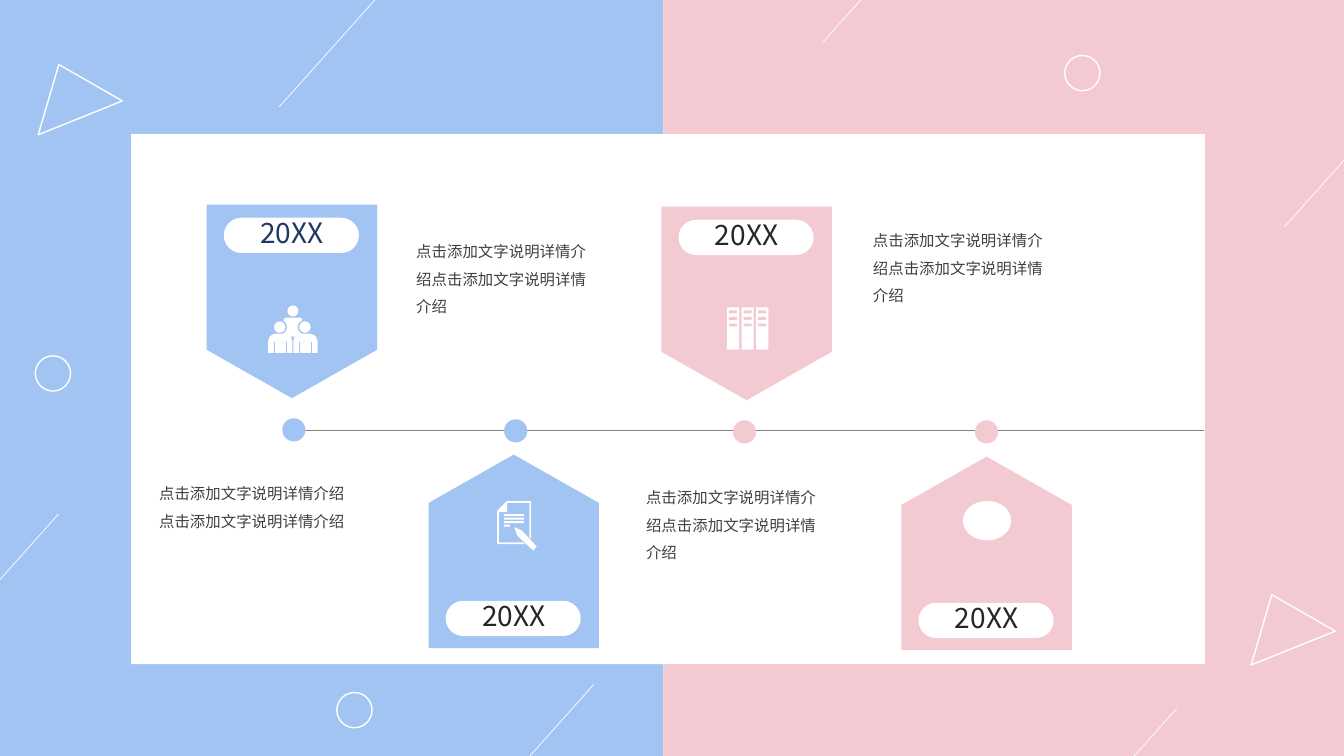
from lxml import etree
from pptx import Presentation
from pptx.dml.color import RGBColor
from pptx.enum.shapes import MSO_CONNECTOR as Wire, MSO_SHAPE as Form
from pptx.enum.text import PP_ALIGN as Align
from pptx.oxml.ns import qn
from pptx.util import Inches, Pt

FONT = "Noto Sans CJK SC"
NOTE = "点击添加文字说明详情介绍" * 2
HUES = {
    "blue": "A1C4F2",
    "pink": "F3CAD1",
    "white": "FFFFFF",
    "grey": "808080",
    "body": "404040",
    "navy": "203864",
    "dark": "262626",
}


def color(name):
    return RGBColor.from_string(HUES[name])


def paint(shape, fill=None, line=None, width=1):
    shape.shadow.inherit = False
    if fill:
        shape.fill.solid()
        shape.fill.fore_color.rgb = color(fill)
    else:
        shape.fill.background()
    if line:
        shape.line.color.rgb = color(line)
        shape.line.width = Pt(width)
    else:
        shape.line.fill.background()
    return shape


def add_form(shapes, form, box, fill=None, line=None, width=1):
    shape = shapes.add_shape(form, *map(Inches, box))
    return paint(shape, fill, line, width)


def add_poly(shapes, points, fill=None, line=None, width=1):
    dots = [(Inches(x), Inches(y)) for x, y in points]
    pen = shapes.build_freeform(*dots[0])
    pen.add_line_segments(dots[1:], close=True)
    return paint(pen.convert_to_shape(), fill, line, width)


def add_line(shapes, start, end, hue, width):
    line = shapes.add_connector(Wire.STRAIGHT, *map(Inches, start + end))
    line.line.color.rgb = color(hue)
    line.line.width = Pt(width)
    etree.SubElement(line._element.spPr, qn("a:effectLst"))


def add_text(shapes, box, text, size, hue, align=Align.LEFT, space=1.0):
    frame = shapes.add_textbox(*map(Inches, box)).text_frame
    frame.word_wrap = True
    frame.text = text
    para = frame.paragraphs[0]
    para.alignment = align
    para.line_spacing = space
    run = para.runs[0]
    run.font.size = Pt(size)
    run.font.name = FONT
    run.font.color.rgb = color(hue)
    props = run._r.get_or_add_rPr()
    etree.SubElement(props, qn("a:ea"), typeface=FONT)


def add_backdrop(shapes):
    add_form(shapes, Form.RECTANGLE, (0, 0, 6.58, 7.5), "blue")
    add_form(shapes, Form.RECTANGLE, (6.58, 0, 6.75, 7.5), "pink")
    add_form(shapes, Form.RECTANGLE, (1.3, 1.33, 10.65, 5.26), "white")
    for x, y in ((0.24, 0.62), (12.27, 5.88)):
        box = (x, y, 0.9, 0.57)
        add_form(shapes, Form.ISOSCELES_TRIANGLE, box, line="white").rotation = 338.1
    for x, y in ((0.35, 3.53), (3.34, 6.87), (10.56, 0.55)):
        add_form(shapes, Form.OVAL, (x, y, 0.35, 0.35), line="white")
    for x, y in ((2.77, 1.06), (8.16, 0.42), (4.38, 8.48),
                 (10.16, 8.72), (12.74, 2.25), (-0.93, 6.79)):
        add_line(shapes, (x, y), (x + 1.51, y - 1.69), "white", 0.5)


def add_axis(shapes):
    add_line(shapes, (11.94, 4.27), (2.85, 4.27), "grey", 0.5)
    for x, y, hue in ((2.8, 4.15, "blue"), (5, 4.16, "blue"),
                      (7.27, 4.17, "pink"), (9.67, 4.17, "pink")):
        add_form(shapes, Form.OVAL, (x, y, 0.23, 0.23), hue)


def add_badge(shapes, x, y, hue, down, ink="dark"):
    """Add a house-shaped badge, its tip down or up, with a year pill."""
    wide, tall, slope = 1.69, 1.92, 0.48
    base, tip, turn = (y, y + tall, -slope) if down else (y + tall, y, slope)
    edge = tip + turn
    add_poly(shapes, [(x, edge), (x + wide / 2, tip), (x + wide, edge),
                      (x + wide, base), (x, base)], hue)
    left, top = x + 0.17, y + (0.13 if down else 1.45)
    pill = add_form(shapes, Form.ROUNDED_RECTANGLE, (left, top, 1.34, 0.35), "white")
    pill.adjustments[0] = 0.5
    box = (left + 0.19, top - 0.07, 0.97, 0.44)
    add_text(shapes, box, "20XX", 20, ink, Align.CENTER)


def add_people(shapes):
    trunk = Form.ROUND_2_SAME_RECTANGLE
    add_form(shapes, Form.OVAL, (2.85, 3.03, 0.11, 0.11), "white")
    add_form(shapes, trunk, (2.81, 3.15, 0.19, 0.19), "white")
    for x in (2.66, 2.91):
        add_form(shapes, Form.OVAL, (x + 0.05, 3.18, 0.13, 0.13), "white", "blue")
        body = add_form(shapes, trunk, (x, 3.31, 0.24, 0.19), "white")
        body.adjustments[0] = 0.4
        for arm in (x + 0.06, x + 0.18):
            add_line(shapes, (arm, 3.39), (arm, 3.5), "blue", 0.75)


def add_binders(shapes):
    for col in range(3):
        x = 7.21 + 0.145 * col
        add_form(shapes, Form.RECTANGLE, (x, 3.05, 0.12, 0.42), "white")
        for row in range(3):
            box = (x + 0.02, 3.08 + 0.065 * row, 0.08, 0.03)
            add_form(shapes, Form.RECTANGLE, box, "pink")


def add_paper(shapes):
    add_poly(shapes, [(5.03, 4.98), (5.26, 4.98), (5.26, 5.39), (4.94, 5.39),
                      (4.94, 5.07)], line="white", width=1.25)
    add_poly(shapes, [(5.03, 4.98), (5.03, 5.08), (4.94, 5.08)], "white")
    for row, wide in enumerate((0.2, 0.2, 0.2, 0.06)):
        box = (5, 5.1 + 0.035 * row, wide, 0.02)
        add_form(shapes, Form.RECTANGLE, box, "white")
    add_poly(shapes, [(5.09, 5.22), (5.18, 5.26), (5.33, 5.42),
                      (5.29, 5.47), (5.13, 5.32)], "white", "blue", 0.5)


def add_spot(shapes):
    add_form(shapes, Form.OVAL, (9.55, 4.97, 0.48, 0.39), "white")


def main():
    deck = Presentation()
    deck.slide_width, deck.slide_height = Inches(13.33), Inches(7.5)
    shapes = deck.slides.add_slide(deck.slide_layouts[6]).shapes
    add_backdrop(shapes)
    add_axis(shapes)
    for box in ((4.03, 2.26, 2.01, 0.93), (8.56, 2.15, 2, 0.93),
                (6.31, 4.7, 1.93, 0.93), (1.48, 4.66, 2.17, 0.62)):
        add_text(shapes, box, NOTE, 11, "body", space=1.5)
    for x, y, hue, down, ink, icon in (
        (2.05, 2.03, "blue", True, "navy", add_people),
        (6.56, 2.05, "pink", True, "dark", add_binders),
        (4.25, 4.51, "blue", False, "dark", add_paper),
        (8.94, 4.53, "pink", False, "dark", add_spot),
    ):
        group = shapes.add_group_shape().shapes
        add_badge(group, x, y, hue, down, ink)
        icon(group)
    deck.save("out.pptx")


if __name__ == "__main__":
    main()
